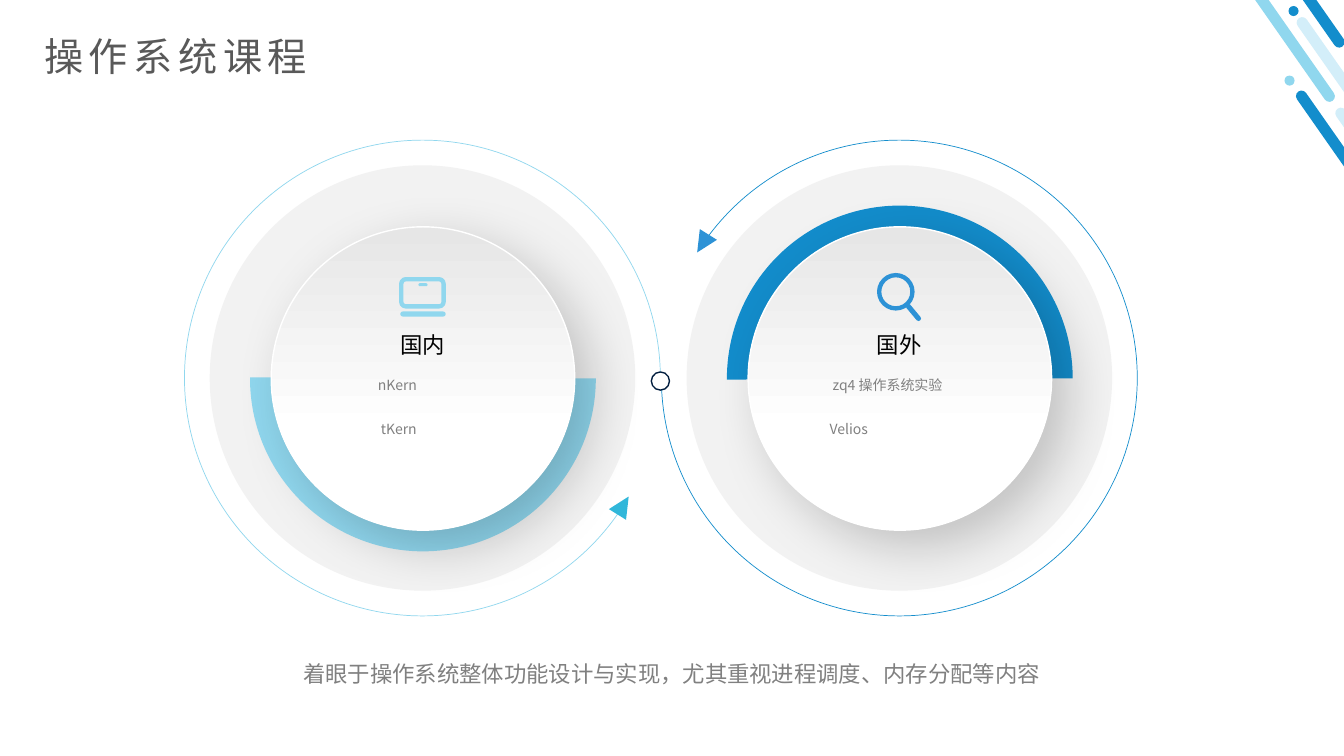
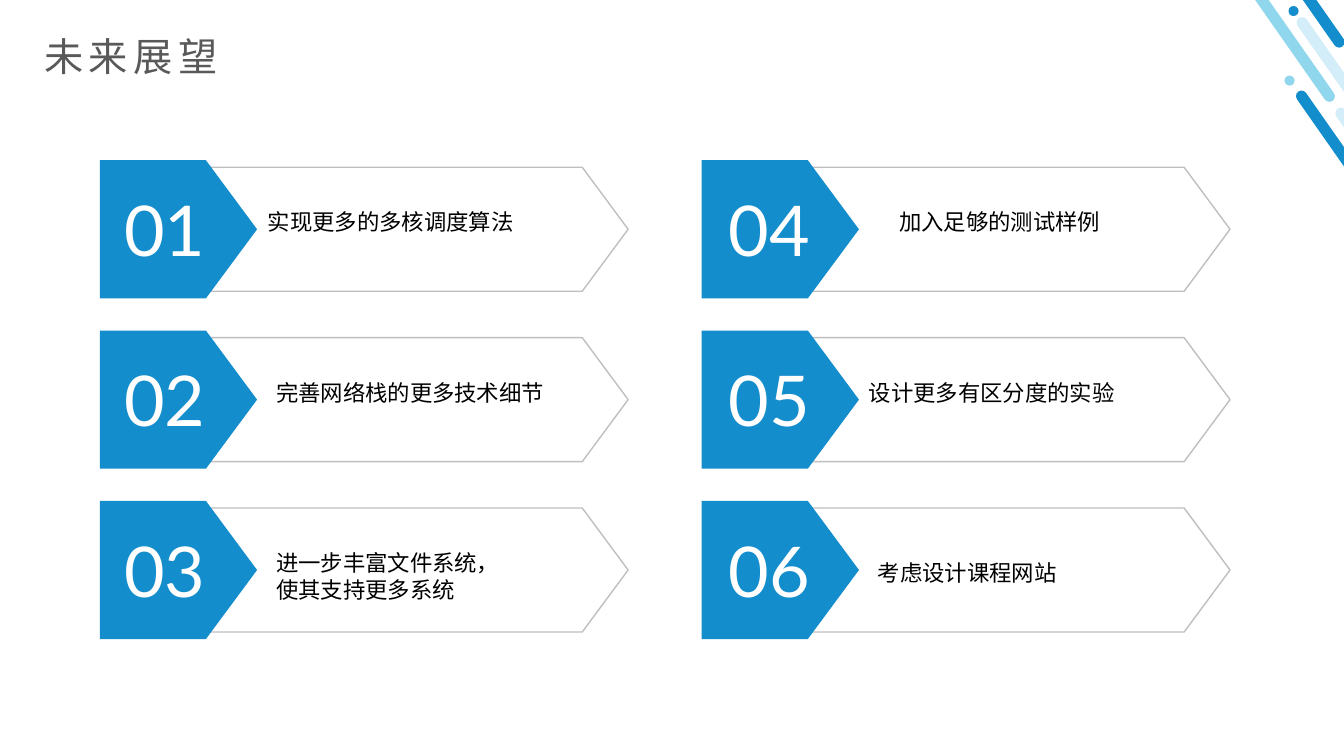
from typing import NamedTuple

from lxml.etree import SubElement
from pptx import Presentation
from pptx.dml.color import RGBColor
from pptx.enum.shapes import MSO_CONNECTOR, MSO_SHAPE as Shp
from pptx.enum.text import PP_ALIGN as Align
from pptx.oxml.ns import qn
from pptx.util import Pt

PX = 9144  # EMU in one px, 100 px to the inch
CJK, LATIN = "Noto Sans CJK SC", "Lato"
COLORS = {
    "blue": "138DCC", "sky": "90D7EE", "pale": "D3EEF9", "cyan": "31B7DA",
    "azure": "2D92D6", "navy": "011D3E", "white": "FFFFFF", "black": "000000",
    "title": "595959", "gray": "808080", "disc": "F2F2F2", "shade": "E6E6E6",
    "border": "BFBFBF",
}


class Box(NamedTuple):
    x: int
    y: int
    w: int
    h: int


class Deco(NamedTuple):
    box: Box
    color: str


class Item(NamedTuple):
    text: str
    indent: int


class Dial(NamedTuple):
    cx: int
    color: str
    pie: tuple[float, float]
    arc: tuple[float, float]
    label: str
    items: list[Item]


class Card(NamedTuple):
    lines: list[str]
    x: int
    dy: int = 43


BARS = [
    Deco(Box(1345, 71, 11, 219), "blue"),
    Deco(Box(1384, 88, 11, 219), "pale"),
    Deco(Box(1237, -151, 11, 276), "sky"),
    Deco(Box(1362, -7, 11, 276), "pale"),
    Deco(Box(1263, -153, 11, 219), "blue"),
]
DOTS = [Deco(Box(1274, 75, 10, 10), "sky"), Deco(Box(1278, 6, 10, 10), "blue")]

DIAL_CY = 375
DIALS = [
    Dial(419, "sky", (0, 180.39), (34.55, 0), "国内",
         [Item("nKern", 59), Item("tKern", 62)]),
    Dial(892, "blue", (179.61, 0), (216.95, 180), "国外",
         [Item("zq4 操作系统实验", 37), Item("Velios", 34)]),
]

ROWS, CARD_X, CARD_Y, COL_STEP, ROW_STEP = 3, 99, 159, 597, 169
CARDS = [
    Card(["实现更多的多核调度算法"], 256),
    Card(["完善网络栈的更多技术细节"], 264),
    Card(["进一步丰富文件系统，", "使其支持更多系统"], 264),
    Card(["加入足够的测试样例"], 882),
    Card(["设计更多有区分度的实验"], 852),
    Card(["考虑设计课程网站"], 861, 53),
]


def rgb(name: str) -> RGBColor:
    return RGBColor.from_string(COLORS[name])


def emu(values) -> list[int]:
    return [v * PX for v in values]


def around(cx: int, cy: int, size: int) -> Box:
    return Box(cx - size // 2, cy - size // 2, size, size)


def add_shape(s, kind, box: Box, fill: str | None = None, line: str | None = None,
              width: float = 1, rot: float = 0, adj: tuple = ()):
    sp = s.shapes.add_shape(kind, *emu(box))
    sp.shadow.inherit = False
    sp.rotation = rot
    for i, value in enumerate(adj):
        sp.adjustments[i] = value
    if fill:
        sp.fill.solid()
        sp.fill.fore_color.rgb = rgb(fill)
    else:
        sp.fill.background()
    if line:
        sp.line.color.rgb = rgb(line)
        sp.line.width = Pt(width)
    else:
        sp.line.fill.background()
    return sp


def angles(degrees: tuple[float, float]) -> tuple[float, ...]:
    """Turn degrees into the adjustment values of arcs and pies."""
    return tuple(d * 0.6 for d in degrees)


def add_text(s, box: Box, lines: list[Item], size: int, color: str,
             align=Align.LEFT, font: str = CJK, spacing: int = 0, loose: bool = False):
    tf = s.shapes.add_textbox(*emu(box)).text_frame
    tf.word_wrap = True
    for i, line in enumerate(lines):
        p = tf.add_paragraph() if i else tf.paragraphs[0]
        p.alignment = align
        if loose:
            p.line_spacing, p.space_before = 1.5, Pt(13.3)
        if line.indent:
            p._p.get_or_add_pPr().set("marL", str(line.indent * PX))
        r = p.add_run()
        r.text = line.text
        r.font.name, r.font.size = font, Pt(size)
        r.font.color.rgb = rgb(color)
        rpr = r._r.get_or_add_rPr()
        SubElement(rpr, qn("a:ea")).set("typeface", font)
        if spacing:
            rpr.set("spc", str(spacing * 100))


def add_base(prs, title: str):
    """Add a slide with the corner decoration and the title."""
    s = prs.slides.add_slide(prs.slide_layouts[6])
    for bar in BARS:
        add_shape(s, Shp.ROUNDED_RECTANGLE, bar.box, bar.color, rot=325, adj=(0.5,))
    for dot in DOTS:
        add_shape(s, Shp.OVAL, dot.box, dot.color)
    add_text(s, Box(34, 27, 1302, 57), [Item(title, 0)], 28, "title", spacing=4)
    return s


def add_drop_shadow(sp):
    effects = sp._element.spPr.find(qn("a:effectLst"))
    shadow = SubElement(effects, qn("a:outerShdw"), blurRad=str(Pt(38)),
                        dist=str(Pt(16)), dir="2700000", algn="tl", rotWithShape="0")
    clr = SubElement(shadow, qn("a:srgbClr"), val=COLORS["black"])
    SubElement(clr, qn("a:alpha"), val="20000")


def add_dial(s, dial: Dial):
    cx, cy = dial.cx, DIAL_CY
    add_shape(s, Shp.OVAL, around(cx, cy, 422), "disc")
    add_shape(s, Shp.PIE, around(cx, cy, 343), dial.color, adj=angles(dial.pie))
    face = add_shape(s, Shp.OVAL, around(cx, cy, 301), line="white")
    face.fill.gradient()
    face.fill.gradient_angle = 270
    for stop, pos, color in zip(face.fill.gradient_stops, (0, 0.67), ("shade", "white")):
        stop.position, stop.color.rgb = pos, rgb(color)
    add_drop_shadow(face)
    add_shape(s, Shp.ARC, around(cx, cy, 472), line=dial.color, width=0.5,
              adj=angles(dial.arc))
    add_text(s, Box(cx - 113, 360, 227, 96), dial.items, 10, "gray", loose=True)
    add_text(s, Box(cx - 50, 324, 100, 37), [Item(dial.label, 0)], 16, "black",
             Align.CENTER)


def add_laptop(s):
    add_shape(s, Shp.ROUNDED_RECTANGLE, Box(398, 277, 42, 27), line="sky", width=3.1)
    add_shape(s, Shp.ROUNDED_RECTANGLE, Box(397, 309, 45, 5), "sky", adj=(0.5,))
    add_shape(s, Shp.ROUNDED_RECTANGLE, Box(415, 281, 9, 3), "sky", adj=(0.5,))


def add_magnifier(s):
    add_shape(s, Shp.OVAL, Box(872, 273, 33, 33), line="azure", width=3.1)
    handle = s.shapes.add_connector(MSO_CONNECTOR.STRAIGHT, *emu((901, 304, 911, 316)))
    handle.line.color.rgb = rgb("azure")
    handle.line.width = Pt(3.6)
    handle.line._get_or_add_ln().set("cap", "rnd")
    SubElement(handle._element.spPr, qn("a:effectLst"))


def build_courses(prs):
    s = add_base(prs, "操作系统课程")
    for dial in DIALS:
        add_dial(s, dial)
    add_laptop(s)
    add_magnifier(s)
    add_shape(s, Shp.OVAL, Box(646, 369, 18, 18), "white", "navy")
    add_shape(s, Shp.ISOSCELES_TRIANGLE, Box(608, 491, 20, 21), "cyan", rot=32)
    add_shape(s, Shp.ISOSCELES_TRIANGLE, Box(687, 231, 20, 21), "azure", rot=212)
    caption = "着眼于操作系统整体功能设计与实现，尤其重视进程调度、内存分配等内容"
    add_text(s, Box(92, 637, 1149, 96), [Item(caption, 0)], 16, "gray", Align.CENTER,
             loose=True)


def build_outlook(prs):
    s = add_base(prs, "未来展望")
    for i, card in enumerate(CARDS):
        col, row = divmod(i, ROWS)
        x, y = CARD_X + col * COL_STEP, CARD_Y + row * ROW_STEP
        add_shape(s, Shp.PENTAGON, Box(x + 30, y + 7, 494, 123), "white", "border",
                  adj=(0.37,))
        add_shape(s, Shp.PENTAGON, Box(x, y, 156, 137), "blue", adj=(0.37,))
        add_text(s, Box(card.x, y + card.dy, 320, 37),
                 [Item(line, 0) for line in card.lines], 16, "black")
        add_text(s, Box(x, y + 21, 129 + 5 * col, 94), [Item(f"{i + 1:02}", 0)], 50,
                 "white", Align.CENTER, LATIN)


def main():
    prs = Presentation()
    prs.slide_width, prs.slide_height = emu((1333, 750))
    build_courses(prs)
    build_outlook(prs)
    prs.save("out.pptx")


if __name__ == "__main__":
    main()
